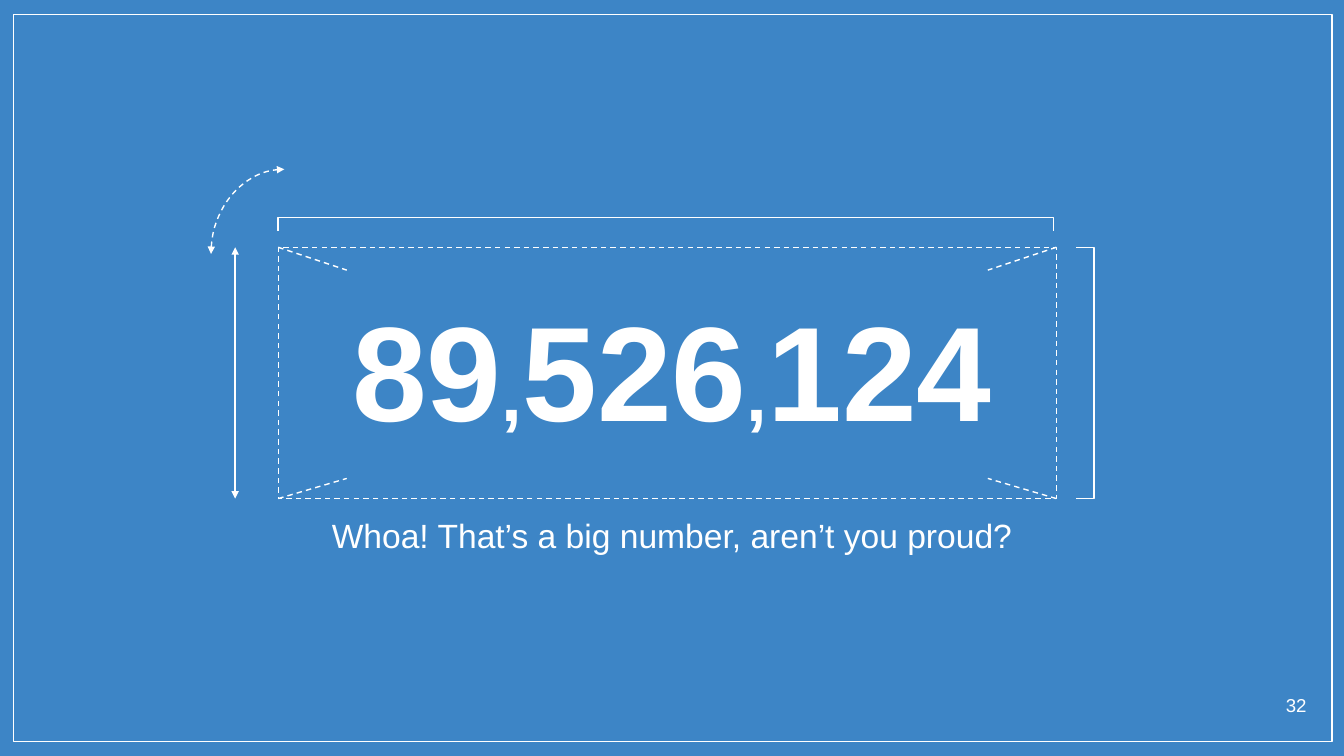
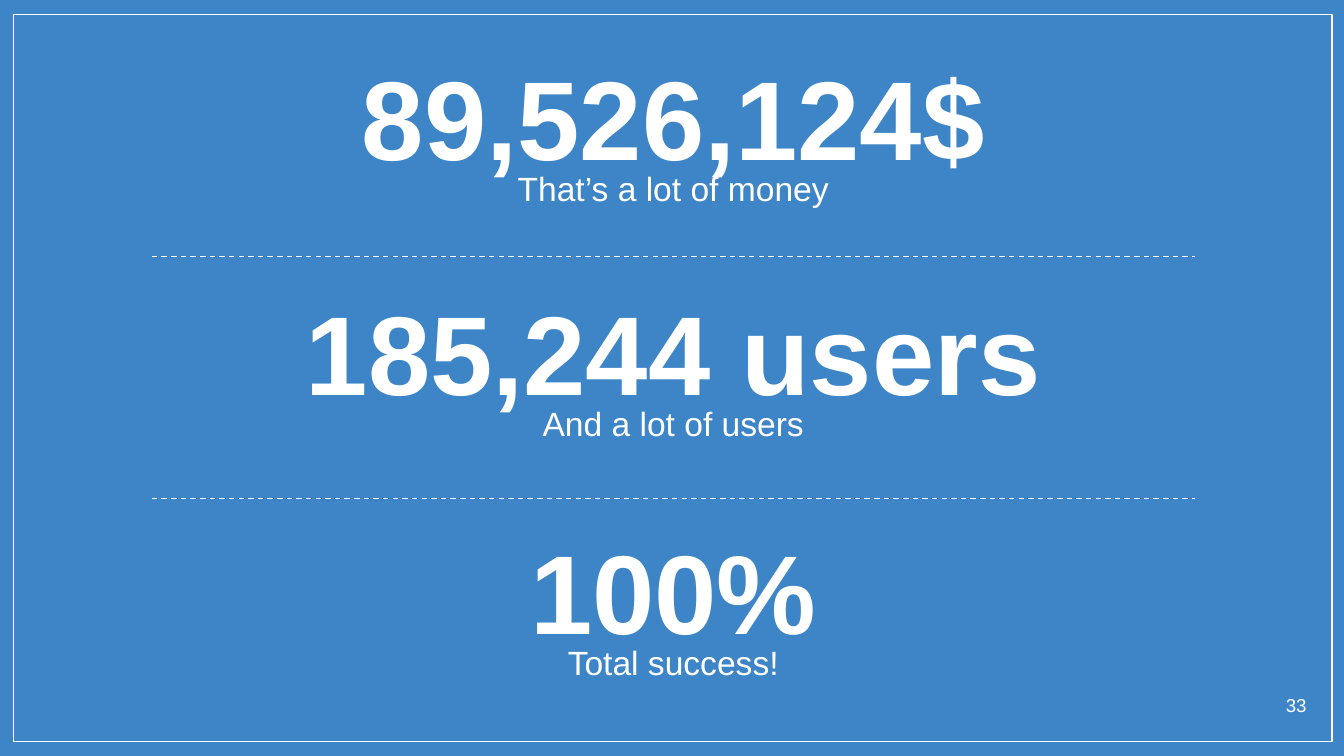
from collections import namedtuple
from dataclasses import dataclass

from lxml.etree import SubElement
from pptx import Presentation
from pptx.dml.color import RGBColor
from pptx.enum.dml import MSO_LINE
from pptx.enum.shapes import MSO_CONNECTOR, MSO_SHAPE
from pptx.enum.text import MSO_ANCHOR, PP_ALIGN
from pptx.oxml.ns import qn
from pptx.util import Inches, Pt


@dataclass(frozen=True)
class Theme:
    blue: RGBColor = RGBColor(0x3D, 0x85, 0xC6)
    white: RGBColor = RGBColor(0xFF, 0xFF, 0xFF)
    font: str = "Arial"
    hero: int = 72
    comma: int = 40
    figure: int = 60
    caption: int = 18
    number: int = 10
    line: float = 0.75
    inset: float = 0.1


THEME = Theme()
Box = namedtuple("Box", "left top width height")


def add_text(page, box, spans, size, bold=False, align=PP_ALIGN.CENTER, before=0,
             anchor=MSO_ANCHOR.TOP):
    shape = page.shapes.add_textbox(*map(Inches, box))
    frame = shape.text_frame
    frame.word_wrap = True
    frame.vertical_anchor = anchor
    frame.margin_left = frame.margin_right = Inches(THEME.inset)
    frame.margin_top = frame.margin_bottom = Inches(THEME.inset)
    para = frame.paragraphs[0]
    para.alignment = align
    para.space_before = Pt(before)
    if isinstance(spans, str):
        spans = [(spans, size)]
    for text, points in spans:
        span = para.add_run()
        span.text = text
        span.font.name = THEME.font
        span.font.size = Pt(points)
        span.font.bold = bold
        span.font.color.rgb = THEME.white


def style_line(shape, dashed=False, arrows=False):
    shape.line.color.rgb = THEME.white
    shape.line.width = Pt(THEME.line)
    if dashed:
        shape.line.dash_style = MSO_LINE.DASH
    if arrows:
        outline = shape._element.spPr.find(qn("a:ln"))
        for end in ("a:headEnd", "a:tailEnd"):
            SubElement(outline, qn(end), type="triangle", w="sm", len="sm")


def add_outline(page, kind, box, **style):
    shape = page.shapes.add_shape(kind, *map(Inches, box))
    shape.shadow.inherit = False
    shape.fill.background()
    style_line(shape, **style)
    return shape


def add_line(page, start, end, **style):
    line = page.shapes.add_connector(MSO_CONNECTOR.STRAIGHT, *map(Inches, start + end))
    style_line(line, **style)
    SubElement(line._element.spPr, qn("a:effectLst"))


def add_bracket(page, points):
    corners = [(Inches(x), Inches(y)) for x, y in points]
    builder = page.shapes.build_freeform(*corners[0])
    builder.add_line_segments(corners[1:], close=False)
    bracket = builder.convert_to_shape()
    bracket.shadow.inherit = False
    bracket.fill.background()
    style_line(bracket)


def add_page(deck, number):
    page = deck.slides.add_slide(deck.slide_layouts[6])
    page.background.fill.solid()
    page.background.fill.fore_color.rgb = THEME.blue
    add_outline(page, MSO_SHAPE.RECTANGLE, Box(0.1, 0.11, 9.81, 5.41))
    add_text(page, Box(9.32, 5.08, 0.5, 0.32), str(number), THEME.number,
             align=PP_ALIGN.RIGHT)
    return page


def add_caption(page, box, text):
    add_text(page, box, text, THEME.caption, before=6)


def add_blueprint(page, box):
    left, top, width, height = box
    right, bottom = left + width, top + height
    add_outline(page, MSO_SHAPE.RECTANGLE, box, dashed=True)
    add_bracket(page, [(right + 0.15, top), (right + 0.28, top),
                       (right + 0.28, bottom), (right + 0.15, bottom)])
    add_bracket(page, [(left, top - 0.12), (left, top - 0.22),
                       (right - 0.02, top - 0.22), (right - 0.02, top - 0.12)])
    arc = add_outline(page, MSO_SHAPE.ARC, Box(left - 0.5, top - 0.58, 1.09, 1.26),
                      dashed=True, arrows=True)
    arc.adjustments[0], arc.adjustments[1] = 108, 162
    add_line(page, (left - 0.32, top), (left - 0.32, bottom), arrows=True)
    for x, inward in ((left, 0.51), (right, -0.51)):
        for y, drop in ((top, 0.17), (bottom, -0.15)):
            add_line(page, (x, y), (x + inward, y + drop), dashed=True)


def add_hero_page(deck, number):
    page = add_page(deck, number)
    add_caption(page, Box(1.54, 3.73, 6.92, 0.86), "Whoa! That’s a big number, aren’t you proud?")
    add_blueprint(page, Box(2.07, 1.84, 5.79, 1.87))
    spans = [("89", THEME.hero), (",", THEME.comma), ("526", THEME.hero),
             (",", THEME.comma), ("124", THEME.hero)]
    add_text(page, Box(0.75, 2.04, 8.5, 1.27), spans, THEME.hero, bold=True)


def add_figure(page, box, figure, caption):
    add_text(page, box._replace(height=0.98), figure, THEME.figure, bold=True)
    add_caption(page, box._replace(top=box.top + 0.89, height=0.51), caption)


def add_figures_page(deck, number):
    page = add_page(deck, number)
    column = Box(1.13, 0.26, 7.76, 1.4)
    figures = [
        (0.26, "89,526,124$", "That’s a lot of money"),
        (2.01, "185,244 users", "And a lot of users"),
        (3.79, "100%", "Total success!"),
    ]
    for top, figure, caption in figures:
        add_figure(page, column._replace(top=top), figure, caption)
    for y in (1.91, 3.71):
        add_line(page, (column.left, y), (column.left + column.width, y), dashed=True)


def main():
    deck = Presentation()
    deck.slide_width = Inches(10)
    deck.slide_height = deck.slide_width * 9 // 16
    add_hero_page(deck, 32)
    add_figures_page(deck, 33)
    deck.save("out.pptx")


if __name__ == "__main__":
    main()
